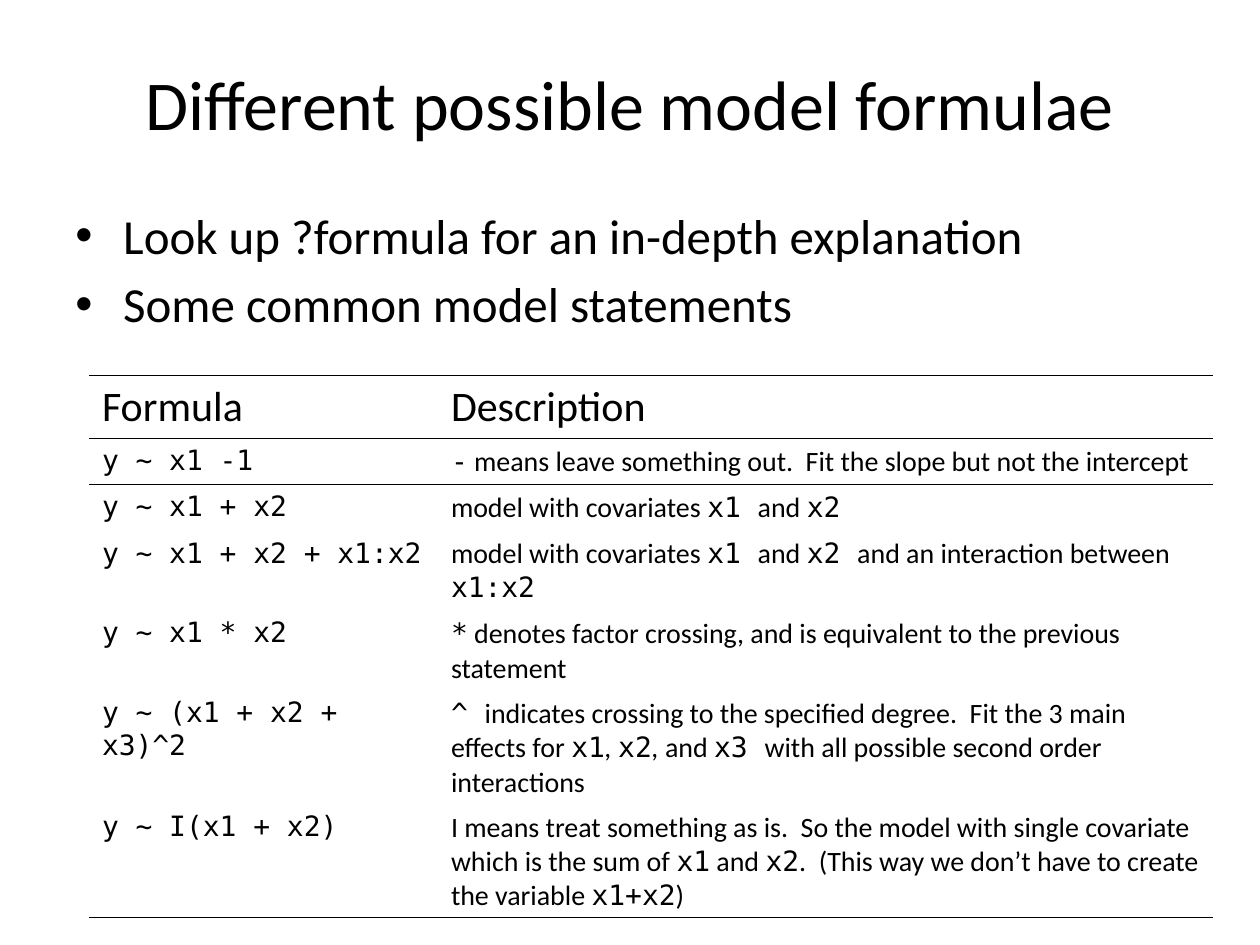
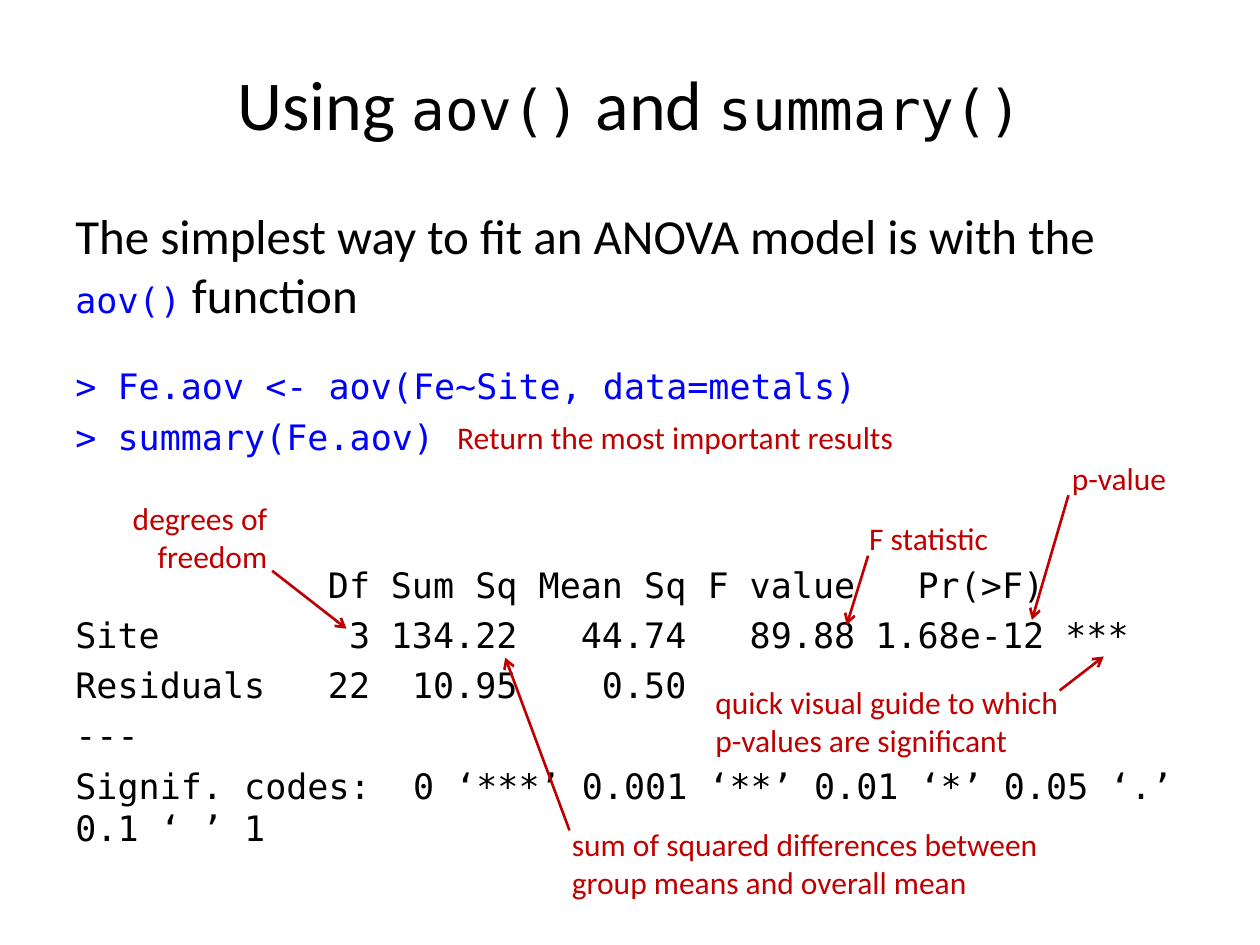
from dataclasses import dataclass

from lxml import etree
from pptx import Presentation
from pptx import util as u
from pptx.dml.color import RGBColor
from pptx.enum import shapes, text
from pptx.oxml import ns


@dataclass(frozen=True)
class Theme:
    sans: str = "Calibri"
    mono: str = "DejaVu Sans Mono"
    ink: str = "000000"
    code: str = "0000FF"
    note: str = "C00000"
    title_size: int = 40
    title_code_size: int = 32
    body_size: int = 28
    head_size: int = 24
    code_size: int = 20
    note_size: int = 18
    cell_size: int = 16
    body_gap: float = 5.5
    code_gap: float = 4.7


THEME = Theme()
LEFT = text.PP_ALIGN.LEFT
RIGHT = text.PP_ALIGN.RIGHT
NO_GRID = "{2D5ABB26-0587-4C30-8999-92F81FD0307C}"


def apply(target, **values):
    for name, value in values.items():
        setattr(target, name, value)


def add_xml(parent, tag, **values):
    child = etree.SubElement(parent, ns.qn(tag))
    for name, value in values.items():
        child.set(name, str(value))
    return child


class SlideBuilder:
    """Holds the theme and the slide being built."""

    def __init__(self, deck, theme):
        self.deck, self.theme, self.slide = deck, theme, None

    def add_spans(self, para, marked, size, code_size=None, colour=None, code_colour=None):
        """Add text in which `code` is monospaced and _words_ are italic."""
        colour = colour or self.theme.ink
        for i, part in enumerate(marked.split("`")):
            is_code = i % 2 == 1
            for j, piece in enumerate(part.split("_")):
                if not piece:
                    continue
                span = para.add_run()
                span.text = piece
                apply(span.font,
                      name=self.theme.mono if is_code else self.theme.sans,
                      size=u.Pt(code_size or size) if is_code else u.Pt(size))
                if j % 2:
                    span.font.italic = True
                span.font.color.rgb = RGBColor.from_string(
                    code_colour or colour if is_code else colour)

    def start(self, title):
        """Add a slide and set its title."""
        self.slide = self.deck.slides.add_slide(self.deck.slide_layouts[5])
        box = self.slide.shapes.title
        apply(box, left=u.Inches(0.5), top=u.Inches(0.3),
              width=u.Inches(9), height=u.Inches(1.03))
        apply(box.text_frame, word_wrap=True, auto_size=text.MSO_AUTO_SIZE.NONE,
              vertical_anchor=text.MSO_ANCHOR.MIDDLE)
        para = box.text_frame.paragraphs[0]
        para.alignment = text.PP_ALIGN.CENTER
        self.add_spans(para, title, self.theme.title_size, self.theme.title_code_size)

    def text_box(self, left, top, width, height):
        box = self.slide.shapes.add_textbox(*map(u.Inches, (left, top, width, height)))
        box.text_frame.word_wrap = True
        return box.text_frame

    def body(self, height, lines, bullets=False, tab_stops=()):
        """Add the main text; each line is (text, space before, code colour)."""
        frame = self.text_box(0.5, 1.58, 9, height)
        for i, (line, gap, code_colour) in enumerate(lines):
            para = frame.paragraphs[0] if i == 0 else frame.add_paragraph()
            para.space_before = u.Pt(gap)
            props = para._p.get_or_add_pPr()
            if bullets:
                props.set("marL", str(u.Inches(0.38)))
                props.set("indent", str(u.Inches(-0.38)))
                add_xml(props, "a:buFont", typeface="Arial")
                add_xml(props, "a:buChar", char="•")
            if "\t" in line:
                stops = add_xml(props, "a:tabLst")
                for place, side in tab_stops:
                    add_xml(stops, "a:tab", pos=u.Inches(place), algn=side)
            self.add_spans(para, line, self.theme.body_size, self.theme.code_size,
                           code_colour=code_colour)

    def note(self, marked, left, top, width, height=0.4, align=LEFT):
        para = self.text_box(left, top, width, height).paragraphs[0]
        para.alignment = align
        self.add_spans(para, marked, self.theme.note_size, colour=self.theme.note)

    def arrow(self, start, end):
        line = self.slide.shapes.add_connector(
            shapes.MSO_CONNECTOR.STRAIGHT, *map(u.Inches, (*start, *end)))
        line.line.width = u.Pt(1.5)
        line.line.color.rgb = RGBColor.from_string(self.theme.note)
        props = line._element.spPr
        add_xml(props.find(ns.qn("a:ln")), "a:tailEnd", type="arrow")
        add_xml(props, "a:effectLst")

    def rule(self, cell, side):
        """Draw a one point border on one side of a cell."""
        line = add_xml(cell._tc.get_or_add_tcPr(), side, w=u.Pt(1))
        add_xml(add_xml(line, "a:solidFill"), "a:srgbClr", val=self.theme.ink)

    def table(self, left, top, widths, heights, rows):
        frame = self.slide.shapes.add_table(
            len(rows), len(widths),
            *map(u.Inches, (left, top, sum(widths), sum(heights))))
        grid = frame.table
        apply(grid, first_row=False, horz_banding=False)
        grid._tbl.tblPr.find(ns.qn("a:tableStyleId")).text = NO_GRID
        for column, width in zip(grid.columns, widths):
            column.width = u.Inches(width)
        for i, (row, height) in enumerate(zip(rows, heights)):
            grid.rows[i].height = u.Inches(height)
            for j, marked in enumerate(row):
                cell = grid.cell(i, j)
                size = self.theme.head_size if i == 0 else self.theme.cell_size
                self.add_spans(cell.text_frame.paragraphs[0], marked, size)
                if i < 2:
                    self.rule(cell, "a:lnT")
                if i in (0, len(rows) - 1):
                    self.rule(cell, "a:lnB")
                cell.fill.background()


deck = Presentation()
apply(deck, slide_width=u.Inches(10), slide_height=u.Inches(7.5))
page = SlideBuilder(deck, THEME)

# Slide 1: model formulae
page.start("Different possible model formulae")
page.body(1.53, [
    ("Look up ?formula for an in-depth explanation", 0, None),
    ("Some common model statements", THEME.body_gap, None),
], bullets=True)
page.table(0.71, 2.98, [2.77, 6.15], [0.4, 0.33, 0.33, 0.33, 0.33, 0.61, 0.84], [
    ("Formula", "Description"),
    ("`y ~ x1 -1`",
     "`-` means leave something out.  Fit the slope but not the intercept"),
    ("`y ~ x1 + x2`", "model with covariates `x1 `and `x2`"),
    ("`y ~ x1 + x2 + x1:x2`",
     "model with covariates `x1 `and `x2 `and an interaction between `x1:x2`"),
    ("`y ~ x1 * x2`",
     "`*` denotes factor crossing, and is equivalent to the previous statement"),
    ("`y ~ (x1 + x2 + x3)^2`",
     "`^ `indicates crossing to the specified degree.  Fit the 3 main effects for "
     "`x1`_, _`x2`_,_ and `x3 `with all possible second order interactions"),
    ("`y ~ I(x1 + x2)`",
     "I means treat something as is.  So the model with single covariate which is "
     "the sum of `x1` and `x2`.  (This way we don’t have to create the variable "
     "`x1+x2`)"),
])

# Slide 2: code and its printed result, in columns that end at set characters
page.start("Using `aov()` and `summary()`")
CHAR_WIDTH = 0.602 * THEME.code_size / 72
columns = [(round(end * CHAR_WIDTH, 2), "r") for end in (14, 21, 29, 37, 46, 50)]
output = [
    "\tDf\tSum Sq\tMean Sq\tF value\tPr(>F)",
    "Site\t3\t134.22\t44.74\t89.88\t1.68e-12\t***",
    "Residuals\t22\t10.95\t0.50",
    "---",
    "Signif. codes:  0 ‘***’ 0.001 ‘**’ 0.01 ‘*’ 0.05 ‘.’ 0.1 ‘ ’ 1",
]
page.body(5.58, [
    ("The simplest way to fit an ANOVA model is with the `aov()` function", 0, THEME.code),
    ("`> Fe.aov <- aov(Fe~Site, data=metals)`", 24, THEME.code),
    ("`> summary(Fe.aov)`", THEME.code_gap, THEME.code),
    *((f"`{line}`", THEME.code_gap if i else 60.5, THEME.ink)
      for i, line in enumerate(output)),
], tab_stops=columns)

# Notes on the result
page.note("Return the most important results", 3.53, 3.27, 4.95)
page.note("F statistic", 6.8, 4.07, 1.4)
page.note("p-value", 8.41, 3.59, 1.4)
page.note("degrees of freedom", 0.31, 3.91, 1.91, 0.71, RIGHT)
page.note("sum of squared differences between group means and overall mean",
          4.44, 6.5, 3.98, 0.71)
page.note("quick visual guide to which p-values are significant", 5.58, 5.37, 3.04, 0.71)

# Arrows from the notes to the values
for start, end in [
    ((6.89, 4.41), (6.72, 4.96)),
    ((8.48, 3.93), (8.19, 4.92)),
    ((2.16, 4.53), (2.75, 4.99)),
    ((4.52, 6.59), (4.01, 5.22)),
    ((8.41, 5.48), (8.76, 5.21)),
]:
    page.arrow(start, end)

deck.save("out.pptx")
